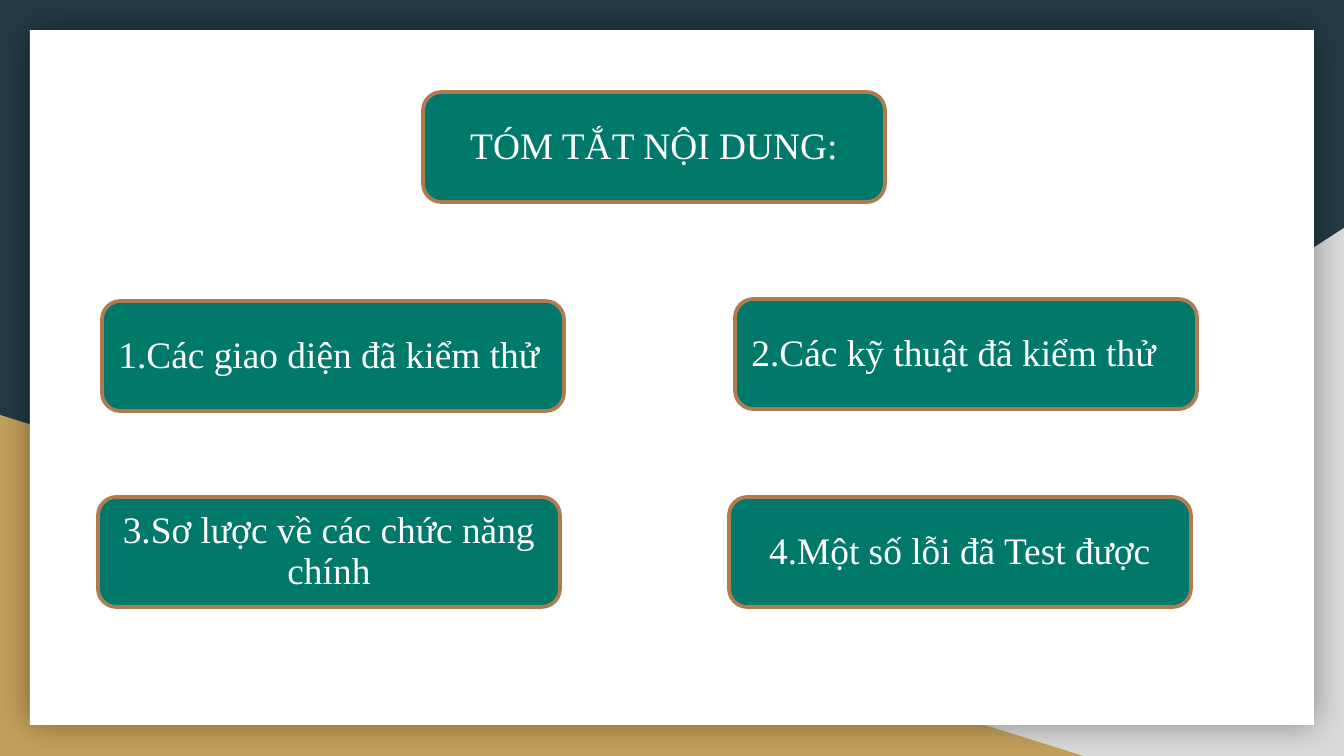
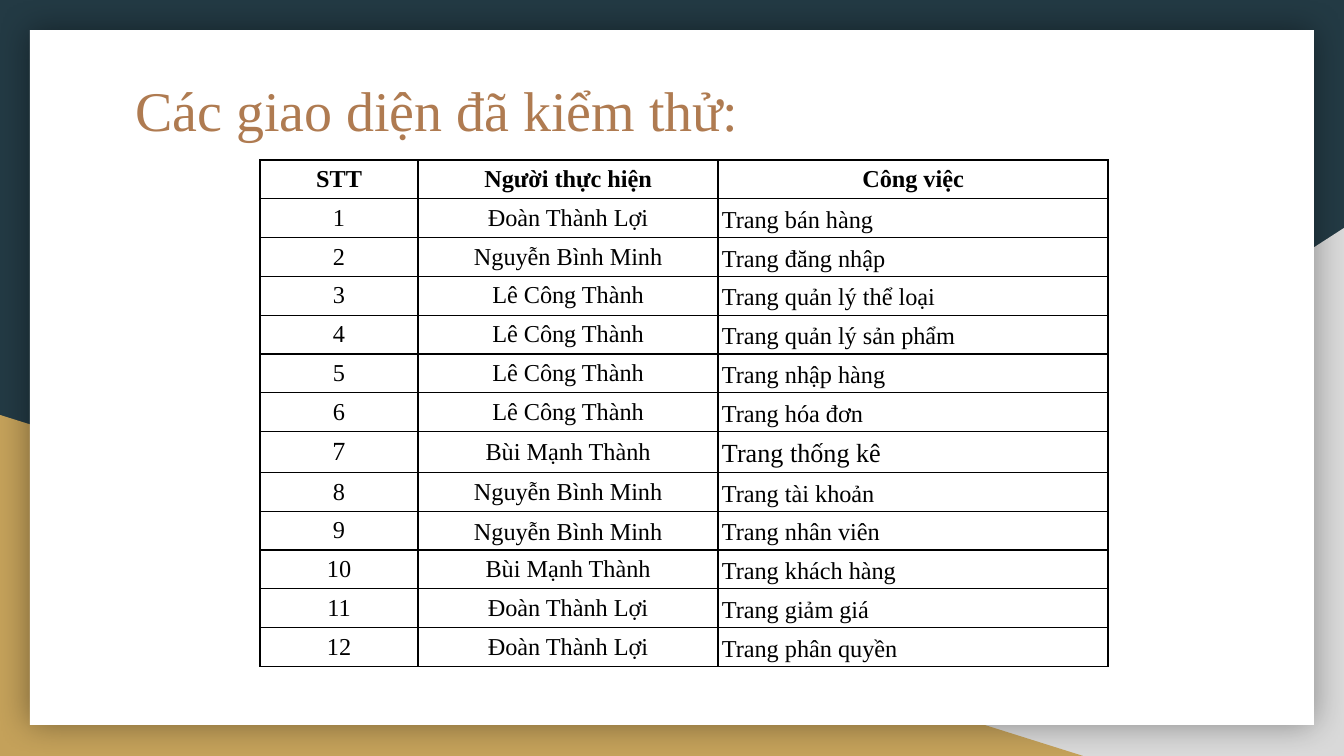
from lxml import etree
from pptx import Presentation
from pptx import util as u
from pptx.dml.color import RGBColor
from pptx.enum import shapes, text
from pptx.oxml import parse_xml
from pptx.oxml.ns import nsdecls, qn

PX = 914400 / 134.4  # EMU in one px
FONT = "Times New Roman"
NAVY, GREY, GOLD = "233A44", "D9D9D9", "C4A15A"
GREEN, BROWN, WHITE, BLACK = "00796B", "AF7B51", "FFFFFF", "000000"
LEFT, CENTER = text.PP_ALIGN.LEFT, text.PP_ALIGN.CENTER
MIDDLE, BOTTOM = text.MSO_ANCHOR.MIDDLE, text.MSO_ANCHOR.BOTTOM
color = RGBColor.from_string


def add_box(page, kind, place, fill):
    box = page.shapes.add_shape(kind, *[round(n * PX) for n in place])
    box.shadow.inherit = False
    box.fill.solid()
    box.fill.fore_color.rgb = color(fill)
    box.line.fill.background()
    return box


def write(para, words, size, ink, align=LEFT, bold=False):
    para.alignment = align
    span = para.add_run()
    span.text = words
    span.font.name = FONT
    span.font.size = u.Pt(size)
    span.font.bold = bold
    span.font.color.rgb = color(ink)


deck = Presentation()
deck.slide_width, deck.slide_height = round(1344 * PX), round(756 * PX)
backdrop = deck.slide_master.background.fill
backdrop.solid()
backdrop.fore_color.rgb = color(NAVY)
pages = [deck.slides.add_slide(deck.slide_layouts[6]) for _ in range(2)]

# Shared frame: two corner triangles and a white sheet with a soft shadow
for page in pages:
    corner = add_box(page, shapes.MSO_SHAPE.RIGHT_TRIANGLE, (527, 228, 817, 528), GREY)
    corner._element.spPr.xfrm.set("flipH", "1")
    add_box(page, shapes.MSO_SHAPE.RIGHT_TRIANGLE, (0, 415, 1083, 341), GOLD)
    sheet = add_box(page, shapes.MSO_SHAPE.RECTANGLE, (30, 30, 1284, 695), WHITE)
    effects = sheet._element.spPr.find(qn("a:effectLst"))
    effects.append(parse_xml(
        f'<a:outerShdw {nsdecls("a")} blurRad="{u.Pt(18)}" dist="0" algn="ctr" rotWithShape="0">'
        f'<a:srgbClr val="{BLACK}"><a:alpha val="40000"/></a:srgbClr></a:outerShdw>'))

summary, screens = pages

# Slide 1: summary cards
cards = [
    (423, 92, "TÓM TẮT NỘI DUNG:", CENTER),
    (102, 301, "1.Các giao diện đã kiểm thử", LEFT),
    (735, 299, "2.Các kỹ thuật đã kiểm thử", LEFT),
    (98, 497, "3.Sơ lược về các chức năng chính", CENTER),
    (729, 497, "4.Một số lỗi đã Test được", CENTER),
]
for left, top, words, align in cards:
    card = add_box(summary, shapes.MSO_SHAPE.ROUNDED_RECTANGLE, (left, top, 462, 110), GREEN)
    card.line.color.rgb = color(BROWN)
    card.line.width = u.Pt(2)
    frame = card.text_frame
    frame.word_wrap = True
    frame.vertical_anchor = MIDDLE
    frame.margin_left = frame.margin_right = frame.margin_top = frame.margin_bottom = round(11 * PX)
    para = frame.paragraphs[0]
    para.line_spacing = 0.9
    para.space_after = u.Pt(7)
    write(para, words, 20, WHITE, align)

# Slide 2: title
title = screens.shapes.add_textbox(*[round(n * PX) for n in (122, 62, 1103, 113)])
frame = title.text_frame
frame.word_wrap = True
frame.margin_left = frame.margin_right = frame.margin_top = frame.margin_bottom = u.Inches(0.1)
write(frame.paragraphs[0], "Các giao diện đã kiểm thử:", 30, BROWN)

# Slide 2: table of tested screens
LOI, MINH, LE, BUI = "Đoàn Thành Lợi", "Nguyễn Bình Minh", "Lê Công Thành", "Bùi Mạnh Thành"
tasks = [
    (LOI, "Trang bán hàng"),
    (MINH, "Trang đăng nhập"),
    (LE, "Trang quản lý thể loại"),
    (LE, "Trang quản lý sản phẩm"),
    (LE, "Trang nhập hàng"),
    (LE, "Trang hóa đơn"),
    (BUI, "Trang thống kê"),
    (MINH, "Trang tài khoản"),
    (MINH, "Trang nhân viên"),
    (BUI, "Trang khách hàng"),
    (LOI, "Trang giảm giá"),
    (LOI, "Trang phân quyền"),
]
rows = [("STT", "Người thực hiện", "Công việc")]
rows += [(str(number), *task) for number, task in enumerate(tasks, 1)]
widths = (158, 300, 390)
height, tall_row, tall_height = 507, 7, 41
row_height = (height - tall_height) / (len(rows) - 1)
table = screens.shapes.add_table(
    len(rows), len(widths), *[round(n * PX) for n in (260, 160, sum(widths), height)]).table
table.first_row = table.horz_banding = False
for column, width in zip(table.columns, widths):
    column.width = round(width * PX)

for r, row in enumerate(rows):
    table.rows[r].height = round((tall_height if r == tall_row else row_height) * PX)
    for c, words in enumerate(row):
        cell = table.cell(r, c)
        cell.margin_left = cell.margin_right = cell.margin_top = cell.margin_bottom = round(4 * PX)
        is_task = r > 0 and c == 2
        white_cell = (r, c) == (9, 1)
        cell.vertical_anchor = BOTTOM if is_task or white_cell else MIDDLE
        size = 14 if r == tall_row and c != 1 else 13
        write(cell.text_frame.paragraphs[0], words, size, BLACK,
              LEFT if is_task else CENTER, bold=r == 0)
        borders = cell._tc.get_or_add_tcPr()
        for side in ("a:lnL", "a:lnR", "a:lnT", "a:lnB"):
            edge = etree.SubElement(borders, qn(side), w=str(u.Pt(0.75)))
            paint = etree.SubElement(edge, qn("a:solidFill"))
            etree.SubElement(paint, qn("a:srgbClr"), val=BLACK)
        if white_cell:
            cell.fill.solid()
            cell.fill.fore_color.rgb = color(WHITE)
        else:
            cell.fill.background()

deck.save("out.pptx")
